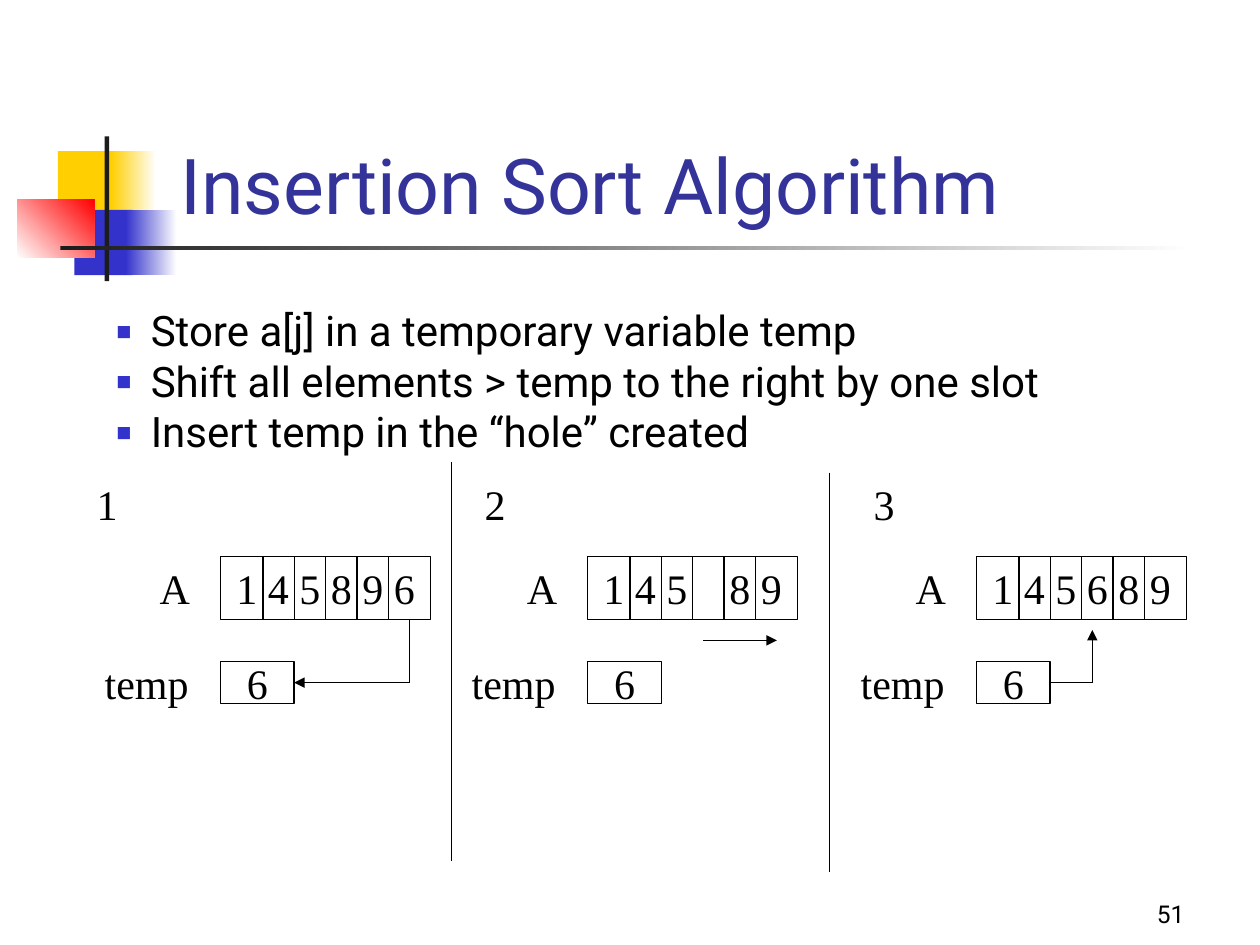
from lxml import etree
from pptx import Presentation
from pptx.dml.color import RGBColor
from pptx.enum import shapes, text
from pptx.oxml import ns
from pptx.util import Cm, Pt

SANS, SERIF = "Roboto", "Times New Roman"
BLACK, WHITE, DARK, BLUE, YELLOW = "000000", "FFFFFF", "1C1C1C", "3333CC", "FFCF01"
ARRAY_WIDTH, ARRAY_HEIGHT = 4.23, 1.27
TEMP_TOP, TEMP_WIDTH, TEMP_HEIGHT = 2.12, 1.48, 0.84
TEMP_MIDDLE = TEMP_TOP + TEMP_HEIGHT / 2


def color(hex_string):
    return RGBColor.from_string(hex_string)


def add_run(paragraph, words, size=24, font=SERIF, hex_string=BLACK):
    run = paragraph.add_run()
    run.text = words
    run.font.size, run.font.name = Pt(size), font
    run.font.color.rgb = color(hex_string)
    return run


def add_text(slide, left, top, width, height, words="", wrap=True):
    shape = slide.shapes.add_textbox(Cm(left), Cm(top), Cm(width), Cm(height))
    shape.text_frame.word_wrap = wrap
    if words:
        add_run(shape.text_frame.paragraphs[0], words)
    return shape


def add_rectangle(slide, left, top, width, height):
    shape = slide.shapes.add_shape(
        shapes.MSO_SHAPE.RECTANGLE, Cm(left), Cm(top), Cm(width), Cm(height))
    shape.shadow.inherit = False
    return shape


def add_block(slide, box, start, end=None, angle=0):
    """Borderless rectangle, plain or fading from start to end."""
    shape = add_rectangle(slide, *box)
    shape.line.fill.background()
    if end is None:
        shape.fill.solid()
        shape.fill.fore_color.rgb = color(start)
        return
    shape.fill.gradient()
    shape.fill.gradient_angle = angle
    for stop, hex_string in zip(shape.fill.gradient_stops, (start, end)):
        stop.color.rgb = color(hex_string)


def add_cell(slide, left, top, width, height, *parts):
    """Outlined rectangle; a hole one digit wide separates its text parts."""
    shape = add_rectangle(slide, left, top, width, height)
    shape.fill.background()
    shape.line.color.rgb = color(BLACK)
    shape.line.width = Pt(0.75)
    frame = shape.text_frame
    frame.word_wrap = False
    frame.vertical_anchor = text.MSO_ANCHOR.MIDDLE
    paragraph = frame.paragraphs[0]
    paragraph.alignment = text.PP_ALIGN.CENTER
    for index, words in enumerate(parts):
        if index:
            hole = add_run(paragraph, " ")
            hole.font._element.set("spc", "1800")
        add_run(paragraph, words)
    return shape


def add_line(slide, x1, y1, x2, y2, arrow=False):
    connector = slide.shapes.add_connector(
        shapes.MSO_CONNECTOR.STRAIGHT, Cm(x1), Cm(y1), Cm(x2), Cm(y2))
    connector.line.color.rgb = color(BLACK)
    connector.line.width = Pt(0.75)
    if arrow:
        line = connector.line._get_or_add_ln()
        etree.SubElement(line, ns.qn("a:tailEnd"), type="triangle")
    etree.SubElement(connector._element.spPr, ns.qn("a:effectLst"))
    return connector


def add_decoration(slide, left, top):
    """Coloured blocks and crossed bars beside the title."""
    blocks = [
        ((0.36, 0.3, 1.22, 1.32), YELLOW, None, 0),
        ((1.43, 0.3, 0.91, 1.32), YELLOW, WHITE, 0),
        ((0.69, 1.48, 1.17, 1.32), BLUE, None, 0),
        ((1.73, 1.48, 1.02, 1.32), BLUE, WHITE, 0),
        ((-0.46, 1.27, 1.55, 1.18), WHITE, "FF0000", 45),
        ((1.3, 0, 0.09, 2.92), DARK, None, 0),
        ((0.41, 2.2, 22.86, 0.09), DARK, WHITE, 0),
    ]
    for (x, y, width, height), start, end, angle in blocks:
        add_block(slide, (left + x, top + y, width, height), start, end, angle)


def add_title(slide, left, top, width, height):
    title = slide.shapes.title
    title.left, title.top = Cm(left), Cm(top)
    title.width, title.height = Cm(width), Cm(height)
    frame = title.text_frame
    frame.vertical_anchor = text.MSO_ANCHOR.MIDDLE
    frame.paragraphs[0].alignment = text.PP_ALIGN.LEFT
    add_run(frame.paragraphs[0], "Insertion Sort Algorithm", 44, SANS, "333399")


def add_steps(slide, left, top, width, height):
    """Bulleted list of the algorithm's steps."""
    frame = add_text(slide, left, top, width, height).text_frame
    steps = ("Store a[j] in a temporary variable temp",
             "Shift all elements > temp to the right by one slot",
             "Insert temp in the “hole” created")
    for index, step in enumerate(steps):
        paragraph = frame.add_paragraph() if index else frame.paragraphs[0]
        properties = paragraph._p.get_or_add_pPr()
        properties.set("marL", str(Cm(0.71)))
        properties.set("indent", str(-Cm(0.71)))
        bullet_color = etree.SubElement(properties, ns.qn("a:buClr"))
        etree.SubElement(bullet_color, ns.qn("a:srgbClr"), val=BLUE)
        etree.SubElement(properties, ns.qn("a:buFont"), typeface=SANS)
        etree.SubElement(properties, ns.qn("a:buChar"), char="▪")
        add_run(paragraph, step, font=SANS)


def add_panel(slide, left, top, number, number_offset, *values):
    """Numbered array with its temp variable; returns the temp cell."""
    add_cell(slide, left, top, ARRAY_WIDTH, ARRAY_HEIGHT, *values)
    margin = 0.85
    pitch = (ARRAY_WIDTH - 2 * margin) / 4
    for index in range(5):
        x = left + margin + index * pitch
        add_line(slide, x, top, x, top + ARRAY_HEIGHT)
    temp = add_cell(slide, left, top + TEMP_TOP, TEMP_WIDTH, TEMP_HEIGHT, "6")
    add_text(slide, left - 1.48, top, 1.12, 1.27, "A", wrap=False)
    add_text(slide, left - 2.59, top + 1.91, 2.44, 1.27, "temp")
    add_text(slide, left + number_offset, top - 1.69, 0.94, 1.27, number, wrap=False)
    return temp


def add_store_arrow(slide, left, top, temp):
    """Leads from the last array element down to temp."""
    corner_x, corner_y = left + 3.81, top + TEMP_MIDDLE
    add_line(slide, corner_x, top + ARRAY_HEIGHT, corner_x, corner_y)
    arrow = add_line(slide, corner_x, corner_y, left + TEMP_WIDTH, corner_y, arrow=True)
    arrow.end_connect(temp, 3)


def add_insert_arrow(slide, left, top, temp):
    """Leads from temp up to the hole in the array."""
    corner_x, corner_y = left + 2.33, top + TEMP_MIDDLE
    line = add_line(slide, left + TEMP_WIDTH, corner_y, corner_x, corner_y)
    line.begin_connect(temp, 3)
    add_line(slide, corner_x, corner_y, corner_x, top + 1.48, arrow=True)


def add_slide_number(slide, left, top, width, height):
    frame = add_text(slide, left, top, width, height).text_frame
    frame.vertical_anchor = text.MSO_ANCHOR.BOTTOM
    frame.paragraphs[0].alignment = text.PP_ALIGN.RIGHT
    add_run(frame.paragraphs[0], "51", 14, SANS)


def main():
    presentation = Presentation()
    presentation.slide_width, presentation.slide_height = Cm(25.4), Cm(19.05)
    slide = presentation.slides.add_slide(presentation.slide_layouts[5])
    add_decoration(slide, 0.81, 2.75)
    add_title(slide, 3.38, 2.54, 21.59, 2.33)
    add_steps(slide, 2.08, 6.02, 21, 3.3)

    top = 11.22
    store, shift, insert = 4.45, 11.85, 19.69
    temp = add_panel(slide, store, top, "1", -2.75, "1 4 5 8 9 6")
    add_store_arrow(slide, store, top, temp)
    add_panel(slide, shift, top, "2", -2.33, "1 4 5", "8 9")
    add_line(slide, shift + 2.33, top + 1.69, shift + 3.81, top + 1.69, arrow=True)
    temp = add_panel(slide, insert, top, "3", -2.33, "1 4 5 6 8 9")
    add_insert_arrow(slide, insert, top, temp)

    for x, y in ((9.1, 9.31), (16.72, 9.53)):
        add_line(slide, x, y, x, y + 8.04)
    add_slide_number(slide, 18.85, 17.58, 5.28, 1.27)
    presentation.save("out.pptx")


if __name__ == "__main__":
    main()
